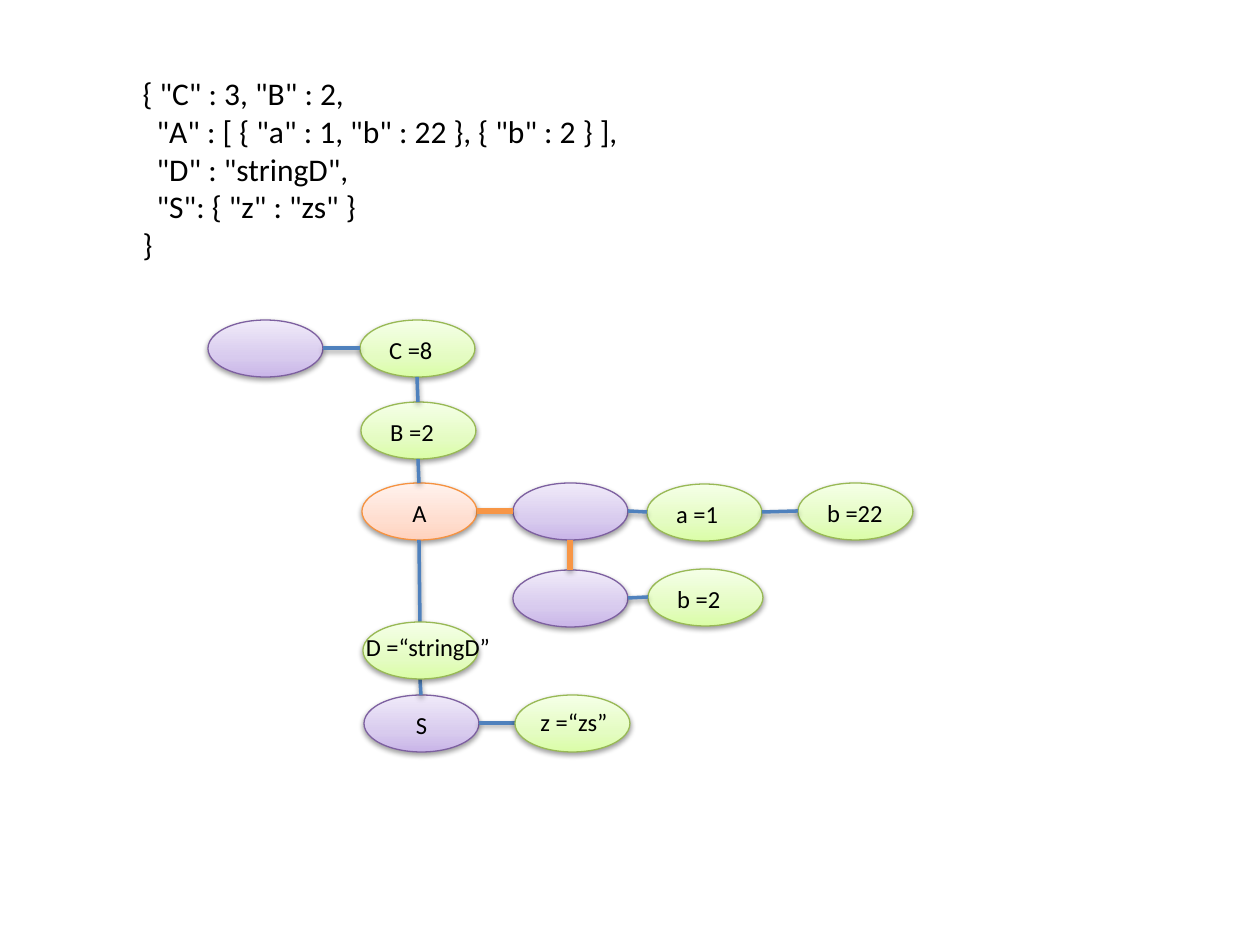
"""Build a slide that shows a JSON document and its node tree."""
from copy import deepcopy
from dataclasses import dataclass

from lxml import etree
from pptx import Presentation
from pptx import util as u
from pptx.dml.color import RGBColor
from pptx.enum import shapes as es, text as et
from pptx.oxml.ns import qn

PX = u.Inches(1) // 126
WIDE, HIGH = 115, 57
FONT = "Calibri"
HEX = {"ink": "000000", "blue": "4F81BD", "orange": "F79646"}
FILLS = {
    "object": ("C9B5E8", "D8CBEE", "F0EAF9"),
    "value": ("DAFDA7", "E4FCC2", "F5FFE7"),
    "array": ("FFD2BD", "FFDED0", "FFF2ED"),
}
EDGES = {"object": "7D60A0", "value": "98B955", "array": "F69240"}
STOPS = (0, 0.35, 1)


@dataclass
class Node:
    x: int
    y: int
    kind: str
    label: str = ""
    mid: bool = False


@dataclass
class Tag:
    node: str
    label: str
    box: tuple


@dataclass
class Link:
    start: str
    end: str
    down: bool = False
    color: str = "blue"
    width: int = 2


NODES = {
    "root": Node(208, 320, "object"),
    "C": Node(360, 320, "value", "C =8"),
    "B": Node(361, 402, "value", "B =2"),
    "A": Node(362, 483, "array", "A", True),
    "S": Node(364, 695, "object", "S", True),
    "first": Node(513, 483, "object"),
    "second": Node(513, 570, "object"),
    "b2": Node(648, 569, "value", "b =2"),
    "a1": Node(647, 484, "value", "a =1"),
    "b22": Node(798, 483, "value", "b =22"),
    "D": Node(363, 622, "value"),
    "z": Node(515, 695, "value"),
}
TAGS = [
    Tag("D", "D =“stringD”", (343, 626, 170, 43)),
    Tag("z", "z =“zs”", (514, 701, 120, 43)),
]
LINKS = [
    Link("first", "a1"),
    Link("root", "C"),
    Link("a1", "b22"),
    Link("second", "b2"),
    Link("C", "B", True),
    Link("B", "A", True),
    Link("A", "D", True),
    Link("D", "S", True),
    Link("S", "z"),
]
ARRAY = [
    Link("A", "first", False, "orange", 3),
    Link("first", "second", True, "orange", 3),
]
LINES = [
    ('{ "C" : 3, "B" : 2,', 0),
    ('"A" : [ { "a" : 1, "b" : 22 }, { "b" : 2 } ],', 1),
    ('"D" : "stringD",', 1),
    ('"S": { "z" : "zs" }', 1),
    ("}", 0),
]


def emu(*vals: int) -> list:
    return [u.Emu(v * PX) for v in vals]


def rgb(code: str) -> RGBColor:
    return RGBColor.from_string(code)


def write(para, label: str, size: int, mid: bool) -> None:
    para.alignment = et.PP_ALIGN.CENTER if mid else et.PP_ALIGN.LEFT
    run = para.add_run()
    run.text = label
    run.font.size = u.Pt(size)
    run.font.name = FONT
    run.font.color.rgb = rgb(HEX["ink"])


def shade(shape) -> None:
    effect = etree.SubElement(shape._element.spPr, qn("a:effectLst"))
    cast = etree.SubElement(effect, qn("a:outerShdw"), blurRad="40000",
                            dist="20000", dir="5400000", rotWithShape="0")
    tint = etree.SubElement(cast, qn("a:srgbClr"), val=HEX["ink"])
    etree.SubElement(tint, qn("a:alpha"), val="38000")


def draw_node(shapes, node: Node) -> None:
    oval = shapes.add_shape(es.MSO_SHAPE.OVAL, *emu(node.x, node.y, WIDE, HIGH))
    oval.fill.gradient()
    oval.fill.gradient_angle = 90
    stops = oval._element.spPr.find(".//" + qn("a:gsLst"))
    stops.append(deepcopy(stops[-1]))
    for stop, pos, code in zip(oval.fill.gradient_stops, STOPS, FILLS[node.kind]):
        stop.position = pos
        stop.color.rgb = rgb(code)
    oval.line.color.rgb = rgb(EDGES[node.kind])
    oval.line.width = u.Pt(0.75)
    shade(oval)
    if node.label:
        oval.text_frame.vertical_anchor = et.MSO_ANCHOR.TOP
        write(oval.text_frame.paragraphs[0], node.label, 14, node.mid)


def draw_link(shapes, link: Link) -> None:
    a, b = NODES[link.start], NODES[link.end]
    if link.down:
        ends = (a.x + WIDE // 2, a.y + HIGH, b.x + WIDE // 2, b.y)
    else:
        ends = (a.x + WIDE, a.y + HIGH // 2, b.x, b.y + HIGH // 2)
    line = shapes.add_connector(es.MSO_CONNECTOR.STRAIGHT, *emu(*ends))
    line.line.color.rgb = rgb(HEX[link.color])
    line.line.width = u.Pt(link.width)
    shade(line)


def draw_tag(shapes, tag: Tag) -> None:
    group = shapes.add_group_shape().shapes
    draw_node(group, NODES[tag.node])
    frame = group.add_textbox(*emu(*tag.box)).text_frame
    frame.word_wrap = True
    write(frame.paragraphs[0], tag.label, 14, True)


def draw_title(title) -> None:
    title.left, title.top, title.width, title.height = emu(67, 52, 1134, 233)
    frame = title.text_frame
    frame.vertical_anchor = et.MSO_ANCHOR.MIDDLE
    for i, (label, depth) in enumerate(LINES):
        para = frame.add_paragraph() if i else frame.paragraphs[0]
        write(para, label, 18, False)
        props = para._p.get_or_add_pPr()
        props.set("marL", str((63 + 14 * depth) * PX))
        props.set("indent", "0")


def main() -> None:
    deck = Presentation()
    deck.slide_width, deck.slide_height = emu(1260, 945)
    slide = deck.slides.add_slide(deck.slide_layouts[5])
    shapes = slide.shapes
    draw_title(shapes.title)
    tagged = {tag.node for tag in TAGS}
    for name, node in NODES.items():
        if name not in tagged:
            draw_node(shapes, node)
    for link in LINKS:
        draw_link(shapes, link)
    for tag in TAGS:
        draw_tag(shapes, tag)
    for link in ARRAY:
        draw_link(shapes, link)
    deck.save("out.pptx")


main()
